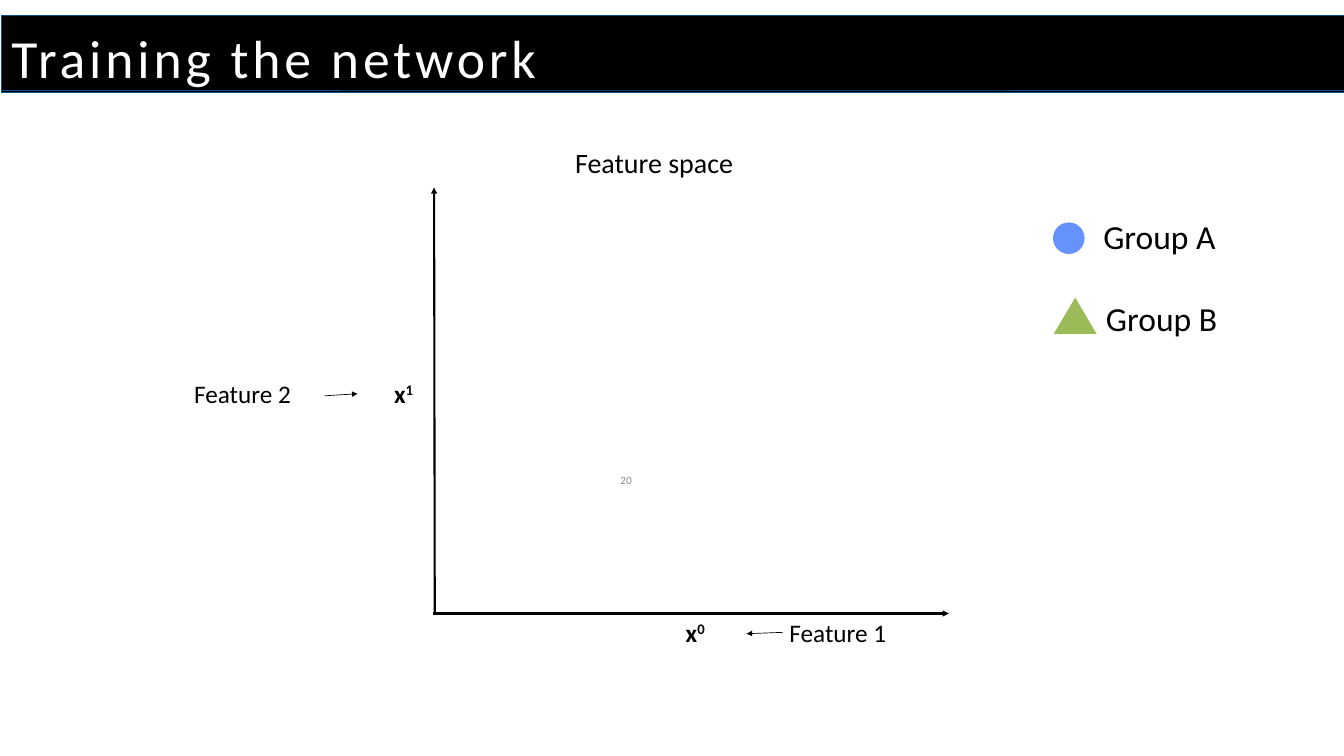
from dataclasses import dataclass
from lxml import etree
from pptx import Presentation
from pptx.dml.color import RGBColor
from pptx.enum.shapes import MSO_CONNECTOR, MSO_SHAPE
from pptx.enum.text import MSO_ANCHOR, MSO_AUTO_SIZE, PP_ALIGN
from pptx.oxml.ns import qn
from pptx.util import Inches, Pt

LINE = MSO_CONNECTOR.STRAIGHT
RECT, DISC, PEAK = MSO_SHAPE.RECTANGLE, MSO_SHAPE.OVAL, MSO_SHAPE.ISOSCELES_TRIANGLE
TOP, MID = MSO_ANCHOR.TOP, MSO_ANCHOR.MIDDLE
LEFT, MIDST, RIGHT = PP_ALIGN.LEFT, PP_ALIGN.CENTER, PP_ALIGN.RIGHT
FIXED = MSO_AUTO_SIZE.NONE
WIDE, HIGH = Inches(20), Inches(11.25)
COLS, ROWS = 20, 11.25
ONLY = 5


@dataclass(frozen=True)
class Theme:
    font: str = "Calibri"
    ink: str = "000000"
    pale: str = "FFFFFF"
    gray: str = "8C8C8C"
    edge: str = "0B4F8E"
    blue: str = "6692FC"
    green: str = "9BBB59"
    title: float = 57.5
    lead: float = 74.8
    track: float = 4.2
    key: float = 36
    head: float = 30
    label: float = 27
    note: float = 12
    bold: float = 2.25
    thin: float = 0.75


THEME = Theme()


def col(n):
    return round(WIDE * n / COLS)


def row(n):
    return round(HIGH * n / ROWS)


def box(x, y, w, h):
    return col(x), row(y), col(w), row(h)


def add_run(para, text, size, tint=THEME.ink, bold=False, lift=0):
    run = para.add_run()
    run.text = text
    font = run.font
    font.name, font.size, font.bold = THEME.font, Pt(size), bold
    font.color.rgb = RGBColor.from_string(tint)
    if lift:
        font._element.set("baseline", str(lift * 1000))
    return run


def add_text(slide, area, runs, align=LEFT, anchor=TOP):
    frame = slide.shapes.add_textbox(*box(*area)).text_frame
    frame.word_wrap = True
    frame.vertical_anchor = anchor
    para = frame.paragraphs[0]
    para.alignment = align
    for run in runs:
        add_run(para, **run)


def add_label(slide, area, text, size=THEME.label):
    add_text(slide, area, [dict(text=text, size=size)])


def add_axis(slide, area, power):
    base = dict(text="x", size=THEME.label, bold=True)
    add_text(slide, area, [base, {**base, "text": power, "lift": 30}], MIDST)


def add_arrow(slide, start, end, width):
    (x, y), (u, v) = start, end
    link = slide.shapes.add_connector(LINE, col(x), row(y), col(u), row(v))
    link.line.width = Pt(width)
    link.line.color.rgb = RGBColor.from_string(THEME.ink)
    tip = etree.SubElement(link.line._get_or_add_ln(), qn("a:tailEnd"))
    tip.set("type", "triangle")
    etree.SubElement(link._element.spPr, qn("a:effectLst"))


def add_form(slide, kind, area, fill, edge=None):
    form = slide.shapes.add_shape(kind, *box(*area))
    form.shadow.inherit = False
    form.fill.solid()
    form.fill.fore_color.rgb = RGBColor.from_string(fill)
    if edge:
        form.line.color.rgb = RGBColor.from_string(edge)
        form.line.width = Pt(THEME.thin)
    else:
        form.line.fill.background()


def add_title(slide, text):
    for high in (1.14, 1.11):
        add_form(slide, RECT, (0.02, 0.23, 20, high), THEME.ink, THEME.edge)
    title = slide.shapes.title
    title.left, title.top, title.width, title.height = box(0.17, 0.29, 18.92, 0.95)
    slide.shapes._spTree.append(title._element)
    frame = title.text_frame
    frame.margin_left = frame.margin_right = frame.margin_top = frame.margin_bottom = 0
    frame.word_wrap, frame.auto_size, frame.vertical_anchor = True, FIXED, TOP
    para = frame.paragraphs[0]
    para.alignment, para.line_spacing = LEFT, Pt(THEME.lead)
    run = add_run(para, text, THEME.title, THEME.pale)
    run.font._element.set("spc", str(round(THEME.track * 100)))


def add_plot(slide):
    add_arrow(slide, (6.44, 9.13), (14.12, 9.13), THEME.bold)
    add_arrow(slide, (6.47, 9.13), (6.46, 2.79), THEME.bold)
    add_axis(slide, (9.66, 9.13, 1.37, 0.56), "0")
    add_axis(slide, (5.32, 5.58, 1.37, 0.56), "1")
    add_label(slide, (11.65, 9.13, 3.1, 0.56), "Feature 1")
    add_arrow(slide, (11.65, 9.41), (11.11, 9.43), THEME.thin)
    add_label(slide, (2.79, 5.58, 2.53, 0.56), "Feature 2")
    add_arrow(slide, (4.83, 5.89), (5.32, 5.86), THEME.thin)
    add_label(slide, (8.46, 2.12, 4.15, 0.61), "Feature space", THEME.head)


def add_key(slide):
    add_form(slide, DISC, (15.67, 3.31, 0.47, 0.47), THEME.blue)
    add_label(slide, (16.32, 3.17, 2.78, 0.71), "Group A", THEME.key)
    add_form(slide, PEAK, (15.68, 4.43, 0.64, 0.54), THEME.green)
    add_label(slide, (16.36, 4.39, 2.78, 0.71), "Group B", THEME.key)


def main():
    deck = Presentation()
    deck.slide_width, deck.slide_height = WIDE, HIGH
    slide = deck.slides.add_slide(deck.slide_layouts[ONLY])
    page = dict(text="20", size=THEME.note, tint=THEME.gray)
    add_text(slide, (7.17, 6.95, 2.33, 0.4), [page], RIGHT, MID)
    add_plot(slide)
    add_key(slide)
    add_title(slide, "Training the network")
    deck.save("out.pptx")


if __name__ == "__main__":
    main()
